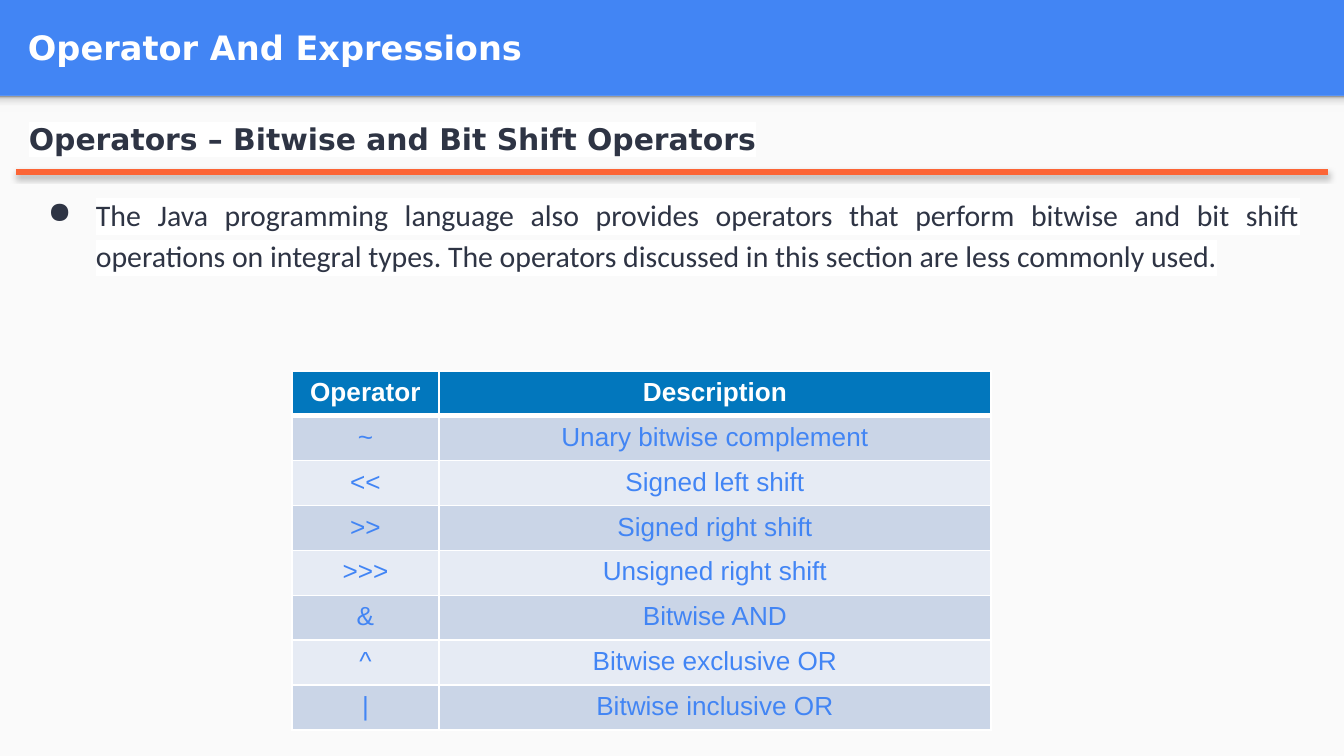
from lxml.etree import SubElement
from pptx import Presentation
from pptx.dml.color import RGBColor
from pptx.enum.shapes import MSO_CONNECTOR, MSO_SHAPE
from pptx.enum.text import MSO_ANCHOR, PP_ALIGN
from pptx.oxml.ns import qn
from pptx.util import Emu, Pt

SCALE = 914400 / 134.4
COLORS = {
    "blue": "4285F4", "paper": "FAFAFA", "white": "FFFFFF", "ink": "2E3444",
    "orange": "FC6536", "header": "0277BD", "band_dark": "CAD5E7",
    "band_light": "E6EBF4", "black": "000000",
}
BAND_SHADE = [(0, "F9F9F9"), (36, "F9F9F9"), (80, "DEDEDE"), (100, "999999")]
OPERATORS = [
    ("Operator", "Description"),
    ("~", "Unary bitwise complement"),
    ("<<", "Signed left shift"),
    (">>", "Signed right shift"),
    (">>>", "Unsigned right shift"),
    ("&", "Bitwise AND"),
    ("^", "Bitwise exclusive OR"),
    ("|", "Bitwise inclusive OR"),
]


def px(pixels):
    return Emu(round(pixels * SCALE))


def rgb(name):
    return RGBColor.from_string(COLORS[name])


def add_node(parent, tag, **attributes):
    return SubElement(parent, qn(tag), {k: str(v) for k, v in attributes.items()})


def add_run(paragraph, text, font, size, color, bold=False, highlight=None):
    run = paragraph.add_run()
    run.text = text
    run.font.size, run.font.bold = Pt(size), bold
    run.font.color.rgb = rgb(color)
    if highlight:
        properties = run.font._element
        mark = add_node(properties, "a:highlight")
        add_node(mark, "a:srgbClr", val=COLORS[highlight])
        properties.find(qn("a:solidFill")).addnext(mark)
    run.font.name = font


def add_text_box(slide, left, top, width, height, anchor=MSO_ANCHOR.TOP):
    frame = slide.shapes.add_textbox(px(left), px(top), px(width), px(height)).text_frame
    frame.word_wrap = True
    frame.vertical_anchor = anchor
    frame.margin_left = frame.margin_right = px(13)
    frame.margin_top = frame.margin_bottom = px(13)
    return frame


def add_panel(slide, left, top, width, height):
    panel = slide.shapes.add_shape(
        MSO_SHAPE.RECTANGLE, px(left), px(top), px(width), px(height))
    panel.shadow.inherit = False
    panel.line.fill.background()
    return panel


def shade_panel(panel, stops, angle):
    panel.fill.gradient()
    panel.fill.gradient_angle = angle
    stop_list = next(panel._element.iter(qn("a:gsLst")))
    for old_stop in list(stop_list):
        stop_list.remove(old_stop)
    for percent, color in stops:
        stop = add_node(stop_list, "a:gs", pos=percent * 1000)
        add_node(stop, "a:srgbClr", val=color)


def add_rule(slide, left, right, y):
    rule = slide.shapes.add_connector(
        MSO_CONNECTOR.STRAIGHT, px(left), px(y), px(right), px(y))
    rule.line.color.rgb = rgb("orange")
    rule.line.width = Pt(3)
    effects = add_node(rule._element.spPr, "a:effectLst")
    shadow = add_node(effects, "a:outerShdw", blurRad=Pt(3.1), dist=Pt(1.8),
                      dir=90 * 60000, algn="t", rotWithShape=0)
    tint = add_node(shadow, "a:srgbClr", val=COLORS["black"])
    add_node(tint, "a:alpha", val=35000)


def add_bullet(paragraph, left, indent):
    properties = paragraph._p.get_or_add_pPr()
    properties.set("marL", str(px(left)))
    properties.set("indent", str(px(indent)))
    color = add_node(properties, "a:buClr")
    add_node(color, "a:srgbClr", val=COLORS["ink"])
    add_node(properties, "a:buChar", char="●")


def set_borders(cell, top, bottom):
    properties = cell._tc.get_or_add_tcPr()
    widths = {"a:lnL": 1, "a:lnR": 1, "a:lnT": top, "a:lnB": bottom}
    for position, (side, width) in enumerate(widths.items()):
        border = add_node(properties, side, w=Pt(width))
        fill = add_node(border, "a:solidFill")
        add_node(fill, "a:srgbClr", val=COLORS["white"])
        properties.insert(position, border)


def add_operator_table(slide, left, top, column_widths, height):
    count = len(OPERATORS)
    table = slide.shapes.add_table(
        count, len(column_widths), px(left), px(top),
        px(sum(column_widths)), px(height)).table
    table.first_row = table.horz_banding = False
    for column, width in zip(table.columns, column_widths):
        column.width = px(width)
    for row_index, texts in enumerate(OPERATORS):
        table.rows[row_index].height = px(height / count)
        is_header = row_index == 0
        band = "header" if is_header else ("band_light", "band_dark")[row_index % 2]
        for column_index, text in enumerate(texts):
            cell = table.cell(row_index, column_index)
            cell.fill.solid()
            cell.fill.fore_color.rgb = rgb(band)
            set_borders(cell, top=3 if row_index == 1 else 1,
                        bottom=3 if is_header else 1)
            paragraph = cell.text_frame.paragraphs[0]
            paragraph.alignment = PP_ALIGN.CENTER
            add_run(paragraph, text, "Arial", 14,
                    "white" if is_header else "blue", bold=is_header)


def main():
    presentation = Presentation()
    presentation.slide_width, presentation.slide_height = px(1344), px(756)
    slide = presentation.slides.add_slide(presentation.slide_layouts[6])

    # Blue background with the light content area and its shaded top edge
    slide.background.fill.solid()
    slide.background.fill.fore_color.rgb = rgb("blue")
    content_area = add_panel(slide, 0, 96, 1344, 660)
    content_area.fill.solid()
    content_area.fill.fore_color.rgb = rgb("paper")
    shade_panel(add_panel(slide, 0, 96, 1344, 16), BAND_SHADE, angle=90)

    # Title
    title = add_text_box(slide, 15, 3, 1297, 89, MSO_ANCHOR.MIDDLE)
    add_run(title.paragraphs[0], "Operator And Expressions",
            "DejaVu Sans", 18, "white", bold=True)

    # Section heading and explanation
    section = add_text_box(slide, 16, 102, 1297, 183)
    heading = section.paragraphs[0]
    heading.line_spacing = 1.15
    add_run(heading, "Operators – Bitwise and Bit Shift Operators",
            "DejaVu Sans", 16, "ink", bold=True, highlight="white")
    explanation = section.add_paragraph()
    explanation.line_spacing = 1.15
    explanation.space_before = Pt(19)
    explanation.alignment = PP_ALIGN.JUSTIFY
    add_bullet(explanation, left=67, indent=-48)
    add_run(explanation,
            "The Java programming language also provides operators that perform "
            "bitwise and bit shift operations on integral types. The operators "
            "discussed in this section are less commonly used.",
            "Calibri", 16, "ink", highlight="white")
    add_rule(slide, 16, 1328, 172)

    # Operator table
    add_operator_table(slide, 292, 371, (147, 552), 358)

    presentation.save("out.pptx")


main()
